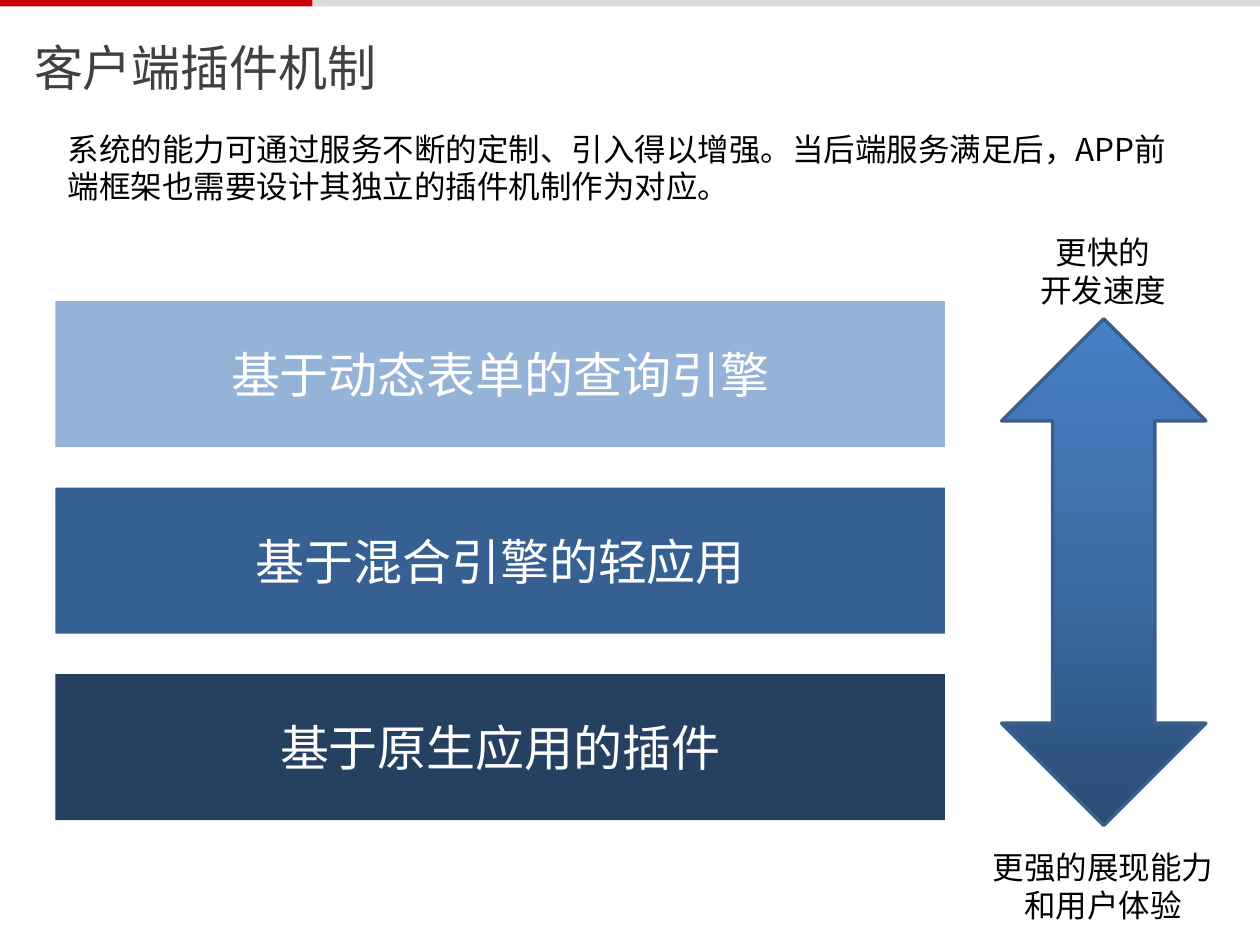
from copy import deepcopy

from lxml.etree import SubElement
from pptx import Presentation
from pptx.dml.color import RGBColor
from pptx.enum.shapes import MSO_SHAPE as Form
from pptx.enum.text import MSO_ANCHOR as Anchor, MSO_AUTO_SIZE as Fit, PP_ALIGN as Align
from pptx.oxml.ns import qn
from pptx.util import Inches, Pt

FONT = "Noto Sans CJK SC"
WHITE = RGBColor(0xFF, 0xFF, 0xFF)
BLACK = RGBColor(0, 0, 0)
INK = RGBColor(0x40, 0x40, 0x40)
GREY = RGBColor(0xD9, 0xD9, 0xD9)
RED = RGBColor(0xC4, 0, 0)
PALE = RGBColor(0x95, 0xB3, 0xD7)
BLUE = RGBColor(0x37, 0x60, 0x92)
NAVY = RGBColor(0x25, 0x40, 0x61)
EDGE = RGBColor(0x3A, 0x5F, 0x8C)
DEEP = RGBColor(0x2A, 0x4C, 0x75)
MID = RGBColor(0x3C, 0x6C, 0xA6)
LIGHT = RGBColor(0x47, 0x80, 0xC5)

COLS, ROWS = 100, 75


def write(frame, text, size=18, color=BLACK, align=Align.LEFT, anchor=Anchor.TOP, wrap=True):
    """Fill a text frame, one paragraph for each line of text."""
    frame.text = text
    frame.auto_size = Fit.NONE
    frame.word_wrap = wrap
    frame.vertical_anchor = anchor
    for para in frame.paragraphs:
        para.alignment = align
        for run in para.runs:
            run.font.size = Pt(size)
            run.font.color.rgb = color
            run.font.name = FONT
            SubElement(run.font._element, qn("a:ea"), typeface=FONT)


class Deck:
    def __init__(self):
        self.prs = Presentation()
        self.prs.slide_width, self.prs.slide_height = Inches(10), Inches(7.5)
        self.slide = self.prs.slides.add_slide(self.prs.slide_layouts[5])

    def area(self, col, row, cols, rows):
        """Turn grid columns and rows into slide lengths."""
        wide, high = self.prs.slide_width / COLS, self.prs.slide_height / ROWS
        return [round(n) for n in (col * wide, row * high, cols * wide, rows * high)]

    def title(self, text, *cells):
        shape = self.slide.shapes.title
        shape.left, shape.top, shape.width, shape.height = self.area(*cells)
        write(shape.text_frame, text, size=28, color=INK, wrap=False)

    def label(self, text, *cells, **style):
        box = self.slide.shapes.add_textbox(*self.area(*cells))
        write(box.text_frame, text, **style)

    def shape(self, form, *cells):
        shape = self.slide.shapes.add_shape(form, *self.area(*cells))
        shape.shadow.inherit = False
        return shape

    def bar(self, color, *cells, text=""):
        bar = self.shape(Form.RECTANGLE, *cells)
        bar.fill.solid()
        bar.fill.fore_color.rgb = color
        bar.line.fill.background()
        if text:
            write(bar.text_frame, text, size=28, color=WHITE,
                  align=Align.CENTER, anchor=Anchor.MIDDLE)

    def arrow(self, colors, *cells):
        """Draw a double arrow shaded from the bottom up."""
        arrow = self.shape(Form.UP_DOWN_ARROW, *cells)
        arrow.line.color.rgb = EDGE
        arrow.line.width = Pt(2)
        fill = arrow.fill
        fill.gradient()
        fill.gradient_angle = 90
        stops = arrow._element.spPr.find(qn("a:gradFill")).find(qn("a:gsLst"))
        while len(stops) < len(colors):
            stops.append(deepcopy(stops[0]))
        for n, (stop, color) in enumerate(zip(fill.gradient_stops, colors)):
            stop.color.rgb = color
            stop.position = n / (len(colors) - 1)


def main():
    deck = Deck()
    deck.title("客户端插件机制", 1.7, 2.5, 29.5, 5.7)

    split = 24.8
    deck.bar(GREY, split, 0, COLS - split, 0.5)
    deck.bar(RED, 0, 0, split, 0.5)

    left = 4.4
    layers = [("基于动态表单的查询引擎", PALE),
              ("基于混合引擎的轻应用", BLUE),
              ("基于原生应用的插件", NAVY)]
    for n, (text, color) in enumerate(layers):
        deck.bar(color, left, 23.9 + n * 14.8, 70.6, 11.6, text=text)

    deck.label("更快的\n开发速度", 81.5, 18, 12.1, 7.1, align=Align.CENTER, wrap=False)
    deck.label("更强的展现能力\n和用户体验", 77.7, 66.8, 19.7, 7.1, align=Align.CENTER, wrap=False)
    deck.arrow([DEEP, MID, LIGHT], 79.5, 25.3, 16.2, 40.2)
    deck.label("系统的能力可通过服务不断的定制、引入得以增强。当后端服务满足后，"
               "APP前端框架也需要设计其独立的插件机制作为对应。", left, 9.8, 89.7, 7.1)
    deck.prs.save("out.pptx")


if __name__ == "__main__":
    main()
